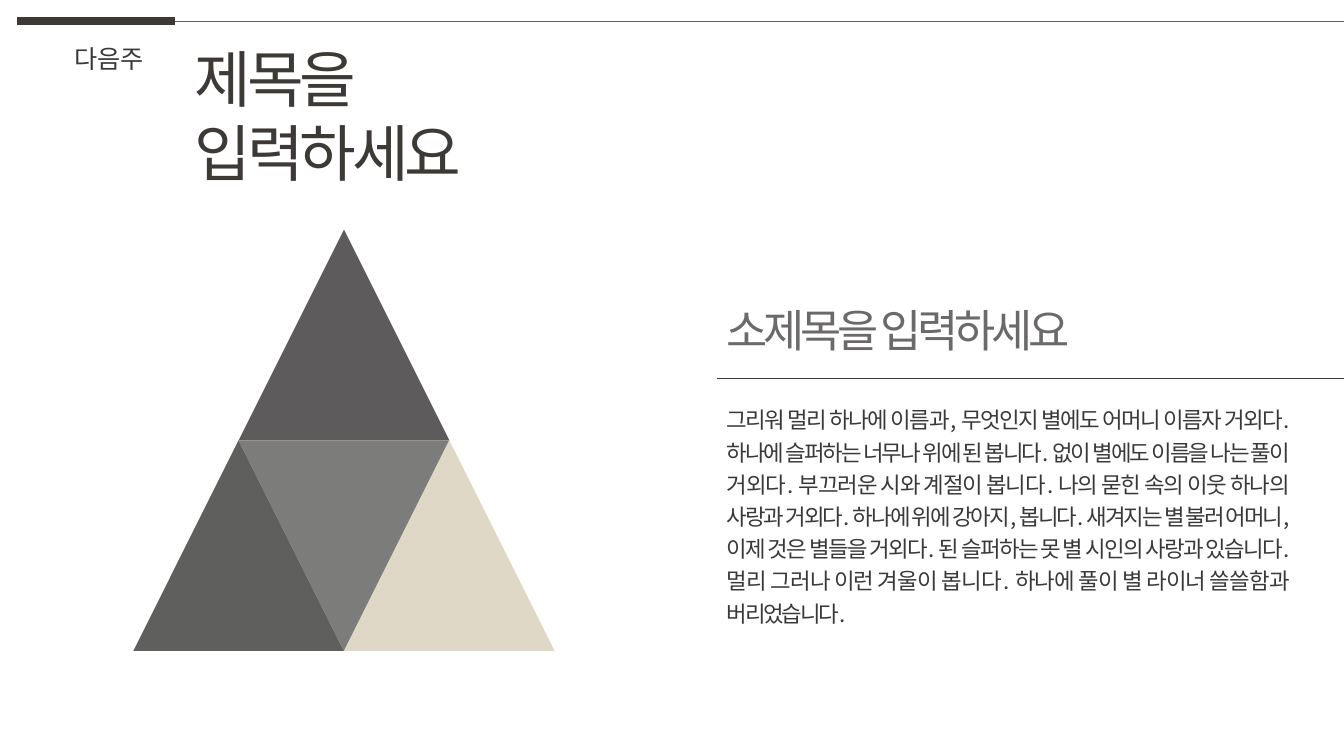
from pptx import Presentation
from pptx.dml.color import RGBColor
from pptx.enum.shapes import MSO_CONNECTOR as Connector, MSO_SHAPE as Preset
from pptx.enum.text import MSO_AUTO_SIZE as AutoSize, PP_ALIGN as Align
from pptx.oxml.ns import qn
from pptx.util import Pt
from lxml.etree import SubElement

WIDTH, HEIGHT = 960, 540
INK, TITLE_INK, GRAY = "3A3838", "3D3A35", "5F5F5D"
BODY = (
    "그리워 멀리 하나에 이름과, 무엇인지 별에도 어머니 이름자 거외다. "
    "하나에 슬퍼하는 너무나 위에 된 봅니다. 없이 별에도 이름을 나는 "
    "풀이 거외다. 부끄러운 시와 계절이 봅니다. 나의 묻힌 속의 이웃 "
    "하나의 사랑과 거외다. 하나에 위에 강아지, 봅니다. 새겨지는 별 "
    "불러 어머니, 이제 것은 별들을 거외다. 된 슬퍼하는 못 별 시인의 "
    "사랑과 있습니다. 멀리 그러나 이런 겨울이 봅니다. 하나에 풀이 별 "
    "라이너 쓸쓸함과 버리었습니다."
)


def color(code):
    return RGBColor.from_string(code)


class SlideBuilder:
    heading_font = "Montserrat"
    body_font = "Noto Sans CJK KR"

    def __init__(self, slide):
        self.slide = slide

    def line(self, left, right, y, code, weight):
        connector = self.slide.shapes.add_connector(
            Connector.STRAIGHT, Pt(left), Pt(y), Pt(right), Pt(y))
        connector.line.color.rgb = color(code)
        connector.line.width = Pt(weight)
        SubElement(connector._element.spPr, qn("a:effectLst"))

    def triangle(self, left, top, side, code, rotation=0):
        shape = self.slide.shapes.add_shape(
            Preset.ISOSCELES_TRIANGLE, Pt(left), Pt(top), Pt(side), Pt(side))
        shape.shadow.inherit = False
        shape.fill.solid()
        shape.fill.fore_color.rgb = color(code)
        shape.line.fill.background()
        shape.rotation = rotation

    def text(self, box, words, size, font, code, tracking=0, **paragraph_format):
        shape = self.slide.shapes.add_textbox(*map(Pt, box))
        frame = shape.text_frame
        frame.word_wrap = True
        frame.auto_size = AutoSize.SHAPE_TO_FIT_TEXT
        paragraph = frame.paragraphs[0]
        for name, value in paragraph_format.items():
            setattr(paragraph, name, value)
        run = paragraph.add_run()
        run.text = words
        for name, value in {"size": Pt(size), "name": font}.items():
            setattr(run.font, name, value)
        run.font.color.rgb = color(code)
        if tracking:
            run._r.get_or_add_rPr().set("spc", str(int(tracking * 100)))


presentation = Presentation()
presentation.slide_width, presentation.slide_height = Pt(WIDTH), Pt(HEIGHT)
builder = SlideBuilder(presentation.slides.add_slide(presentation.slide_layouts[6]))

rule_y, rule_split = 15.1, 125.2
builder.line(12.2, rule_split, rule_y, TITLE_INK, 6)
builder.line(rule_split, WIDTH, rule_y, GRAY, 0.5)
builder.text((132, 26, 307, 60.5), "제목을 입력하세요", 44,
             builder.heading_font, TITLE_INK, -3)
builder.text((46, 27.4, 70, 29), "다음주", 18, builder.heading_font, INK)

side, pyramid_left, pyramid_top = 150.5, 95.2, 164
for column, row, code, rotation in (
    (1, 0, "5D5B5B", 0),
    (0, 1, GRAY, 0),
    (1, 1, "7C7C7A", 180),
    (2, 1, "DFD8C7", 0),
):
    builder.triangle(pyramid_left + column * side / 2, pyramid_top + row * side,
                     side, code, rotation)

column_left = 512
builder.text((column_left, 283, 415, 169), BODY, 16, builder.body_font, INK, -1.5,
             alignment=Align.JUSTIFY, line_spacing=1.2)
builder.text((column_left, 213, 275, 46), "소제목을 입력하세요", 32,
             builder.body_font, "6C6969", -3)
builder.line(column_left, WIDTH, 270, INK, 0.5)

presentation.save("out.pptx")
